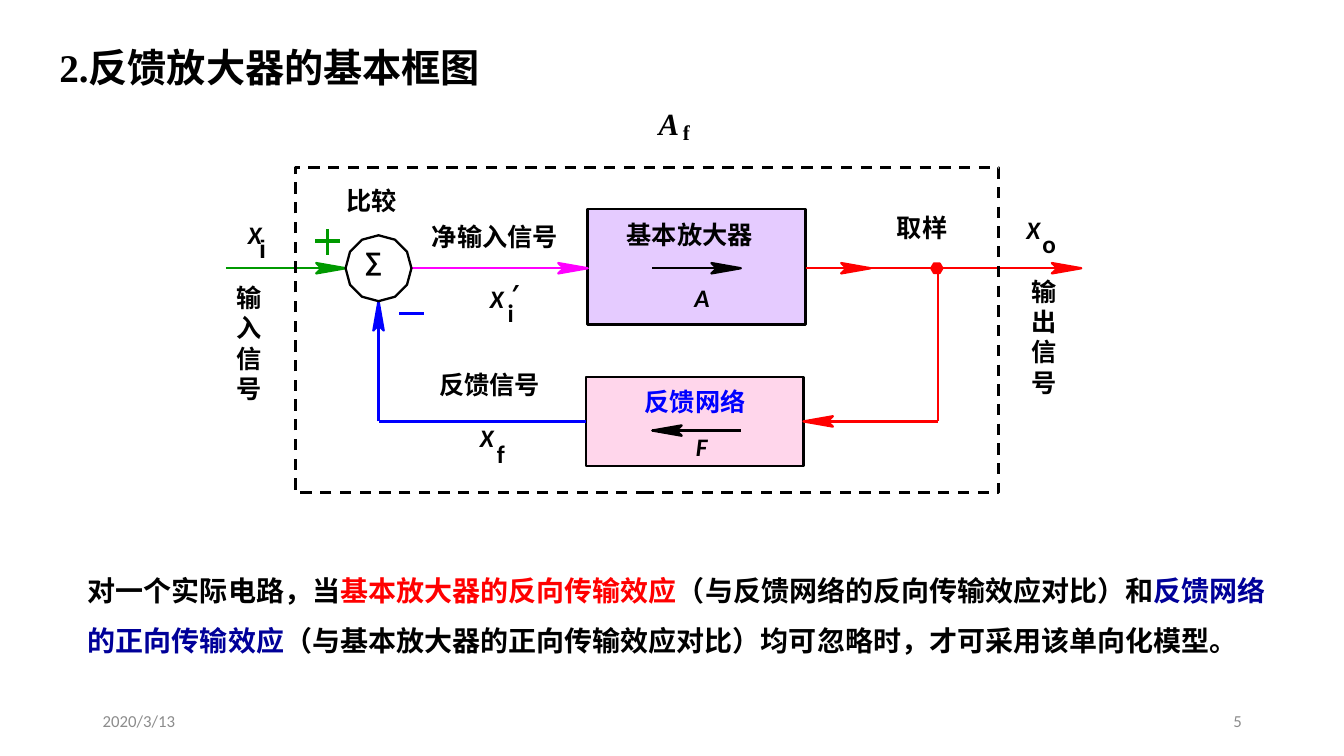
from dataclasses import dataclass
from math import cos, hypot, pi, sin

from lxml import etree
from pptx import Presentation
from pptx.dml.color import RGBColor
from pptx.enum.dml import MSO_LINE
from pptx.enum.shapes import MSO_CONNECTOR, MSO_SHAPE
from pptx.enum.text import MSO_ANCHOR, MSO_AUTO_SIZE, PP_ALIGN
from pptx.oxml.ns import qn
from pptx.util import Cm, Pt


@dataclass(frozen=True)
class Theme:
    black: str = "000000"
    white: str = "FFFFFF"
    red: str = "FF0000"
    green: str = "009900"
    blue: str = "0000FF"
    navy: str = "000099"
    magenta: str = "FF00FF"
    gray: str = "8C8C8C"
    lilac: str = "E5CBFF"
    pink: str = "FFD6EB"
    heading: str = "Times New Roman"
    text: str = "Arial"
    symbol: str = "Calibri"
    title_size: float = 28
    gain_size: float = 22
    gain_sub_size: float = 15
    body_size: float = 20
    label_size: float = 18
    footer_size: float = 12
    wire: float = 1.63
    frame: float = 2
    sign: float = 2.5


T = Theme()


def add_run(paragraph, text, font, size, color=T.black, bold=True, italic=False):
    run = paragraph.add_run()
    run.text = text
    run.font.name, run.font.size = font, Pt(size)
    run.font.bold, run.font.italic = bold, italic
    run.font.color.rgb = RGBColor.from_string(color)


def place(shape, box):
    shape.left, shape.top, shape.width, shape.height = map(Cm, box)


def paint(shape, fill, line, width=T.wire):
    shape.shadow.inherit = False
    if fill:
        shape.fill.solid()
        shape.fill.fore_color.rgb = RGBColor.from_string(fill)
    else:
        shape.fill.background()
    shape.line.color.rgb = RGBColor.from_string(line)
    shape.line.width = Pt(width)


class Canvas:
    def __init__(self, slide, box):
        self.shapes = slide.shapes
        self.left, self.top, self.width, self.height = box

    def at(self, x, y):
        return Cm(self.left + x), Cm(self.top + y)

    def rect(self, x, y, w, h, fill, width=T.wire):
        shape = self.shapes.add_shape(MSO_SHAPE.RECTANGLE, *self.at(x, y), Cm(w), Cm(h))
        paint(shape, fill, T.black, width)
        return shape

    def outline(self, points, fill, line):
        start, *rest = [self.at(*point) for point in points]
        builder = self.shapes.build_freeform(*start)
        builder.add_line_segments(rest, close=True)
        paint(builder.convert_to_shape(), fill, line)

    def polygon(self, cx, cy, radius, sides, fill, line):
        angles = [2 * pi * i / sides for i in range(sides)]
        self.outline([(cx + radius * cos(a), cy + radius * sin(a)) for a in angles], fill, line)

    def line(self, start, end, color, width=T.wire):
        wire = self.shapes.add_connector(MSO_CONNECTOR.STRAIGHT, *self.at(*start), *self.at(*end))
        wire.line.color.rgb = RGBColor.from_string(color)
        wire.line.width = Pt(width)
        etree.SubElement(wire._element.spPr, qn("a:effectLst"))

    def head(self, tip, direction, color, length=0.74, notch=0.6, half=0.13):
        (x, y), (dx, dy) = tip, direction
        offsets = [(0, 0), (length, half), (notch, 0), (length, -half)]
        self.outline([(x - dx * a - dy * b, y - dy * a + dx * b) for a, b in offsets], color, color)

    def arrow(self, start, end, color):
        self.line(start, end, color)
        dx, dy = end[0] - start[0], end[1] - start[1]
        size = hypot(dx, dy)
        self.head(end, (dx / size, dy / size), color)

    def label(self, text, cx, top, font=T.text, size=T.label_size, color=T.black,
              italic=False, width=1.0, height=0.76):
        box = self.shapes.add_textbox(*self.at(cx - width / 2, top), Cm(width), Cm(height))
        frame = box.text_frame
        frame.margin_left = frame.margin_right = frame.margin_top = frame.margin_bottom = 0
        frame.word_wrap = True
        frame.paragraphs[0].alignment = PP_ALIGN.CENTER
        add_run(frame.paragraphs[0], text, font, size, color, italic=italic)

    def symbol(self, base, cx, top, sub="", dx=0.35, dy=0.35, font=T.symbol,
               size=T.label_size, sub_font=T.symbol, sub_size=T.label_size):
        self.label(base, cx, top, font, size, italic=True)
        if sub:
            self.label(sub, cx + dx, top + dy, sub_font, sub_size)


def add_title(slide, box):
    title = slide.shapes.title
    place(title, box)
    frame = title.text_frame
    frame.auto_size, frame.word_wrap = MSO_AUTO_SIZE.NONE, True
    frame.vertical_anchor = MSO_ANCHOR.TOP
    frame.paragraphs[0].alignment = PP_ALIGN.LEFT
    add_run(frame.paragraphs[0], "2.反馈放大器的基本框图", T.heading, T.title_size)


def add_feedback_diagram(slide, box):
    c = Canvas(slide, box)
    forward, back = 2.54, 6.4
    sum_x, sum_r = 2.1, 0.83
    amp_left, net_left, block_w = 7.37, 7.32, 5.49
    amp_right, net_right = amp_left + block_w, net_left + block_w
    tap_x, output_x = 16.2, 19.81

    c.rect(net_left, 5.28, block_w, 2.24, T.pink)
    c.rect(amp_left, 1.04, block_w, 2.92, T.lilac)
    c.arrow((9, forward), (11.23, forward), T.black)
    c.arrow((11.23, 6.63), (9, 6.63), T.black)

    c.arrow((amp_right, forward), (output_x, forward), T.red)
    c.head((14.5, forward), (1, 0), T.red)
    c.line((tap_x, forward), (tap_x, back), T.red)
    c.polygon(tap_x - 0.03, forward, 0.14, 6, T.red, T.red)
    c.arrow((tap_x, back), (net_right, back), T.red)

    c.arrow((-1.75, forward), (sum_x - sum_r, forward), T.green)
    c.arrow((sum_x + sum_r, forward), (amp_left, forward), T.magenta)
    c.line((net_left, back), (sum_x, back), T.blue)
    c.arrow((sum_x, back), (sum_x, forward + sum_r), T.blue)
    c.polygon(sum_x, forward, sum_r, 12, T.white, T.black)

    c.line((0.5, 1.85), (1.14, 1.85), T.green, T.sign)
    c.line((0.81, 1.56), (0.81, 2.2), T.green, T.sign)
    c.line((2.62, 3.68), (3.25, 3.68), T.blue, T.sign)

    for text, cx, top, color in [
        ("基本放大器", 9.94, 1.3, T.black),
        ("反馈网络", 10.08, 5.51, T.blue),
        ("取样", 15.8, 1.14, T.black),
        ("∑", 1.97, 1.96, T.black),
        ("比较", 1.93, 0.46, T.black),
        ("净输入信号", 5.03, 1.37, T.black),
        ("反馈信号", 4.9, 5.08, T.black),
    ]:
        c.label(text, cx, top, color=color, width=4)
    for text, cx, top in [("输入信号", -1.16, 2.9), ("输出信号", 18.88, 2.74)]:
        c.label(text, cx, top, width=0.9, height=3.07)

    c.symbol("A", 10.25, 2.9)
    c.symbol("F", 10.24, 6.65)
    c.symbol("X", -1.02, 1.3, "i", dx=0.2, sub_font=T.text)
    c.symbol("X", 18.6, 1.19, "o", dx=0.4)
    c.symbol("X", 4.83, 6.43, "f", dy=0.4)
    c.symbol("X", 5.08, 2.92, "i")
    c.label("′", 5.54, 2.79, T.symbol)
    c.symbol("A", 9.42, -1.57, "f", dx=0.44, font=T.heading, size=T.gain_size,
             sub_font=T.heading, sub_size=T.gain_sub_size)

    frame = c.rect(0, 0, c.width, c.height, None, T.frame)
    frame.line.dash_style = MSO_LINE.DASH


def add_conclusion(slide, box):
    body = slide.placeholders[1]
    place(body, box)
    frame = body.text_frame
    frame.auto_size, frame.word_wrap = MSO_AUTO_SIZE.NONE, True
    paragraph = frame.paragraphs[0]
    paragraph.line_spacing, paragraph.space_before = 1.5, Pt(0)
    properties = paragraph._p.get_or_add_pPr()
    properties.set("marL", "0")
    properties.set("indent", "0")
    etree.SubElement(properties, qn("a:buNone"))
    for text, color in [
        ("对一个实际电路，当", T.black),
        ("基本放大器的反向传输效应", T.red),
        ("（与反馈网络的反向传输效应对比）和", T.black),
        ("反馈网络的正向传输效应", T.navy),
        ("（与基本放大器的正向传输效应对比）均可忽略时，才可采用该单向化模型。", T.black),
    ]:
        add_run(paragraph, text, T.text, T.body_size, color)


def add_footer(slide, box):
    left, top, width, height = box
    part = 7.62
    for text, x, align in [("2020/3/13", left, PP_ALIGN.LEFT),
                           ("5", left + width - part, PP_ALIGN.RIGHT)]:
        frame = slide.shapes.add_textbox(Cm(x), Cm(top), Cm(part), Cm(height)).text_frame
        frame.word_wrap, frame.vertical_anchor = True, MSO_ANCHOR.MIDDLE
        frame.paragraphs[0].alignment = align
        add_run(frame.paragraphs[0], text, T.symbol, T.footer_size, T.gray, bold=False)


presentation = Presentation()
presentation.slide_width, presentation.slide_height = Cm(33.87), Cm(19.05)
slide = presentation.slides.add_slide(presentation.slide_layouts[1])
add_title(slide, (1.24, 0.97, 11.2, 2.6))
add_feedback_diagram(slide, (7.44, 4.22, 17.73, 8.2))
add_conclusion(slide, (1.96, 13.89, 30.25, 2.8))
add_footer(slide, (2.34, 17.65, 29.21, 1.02))
presentation.save("out.pptx")
